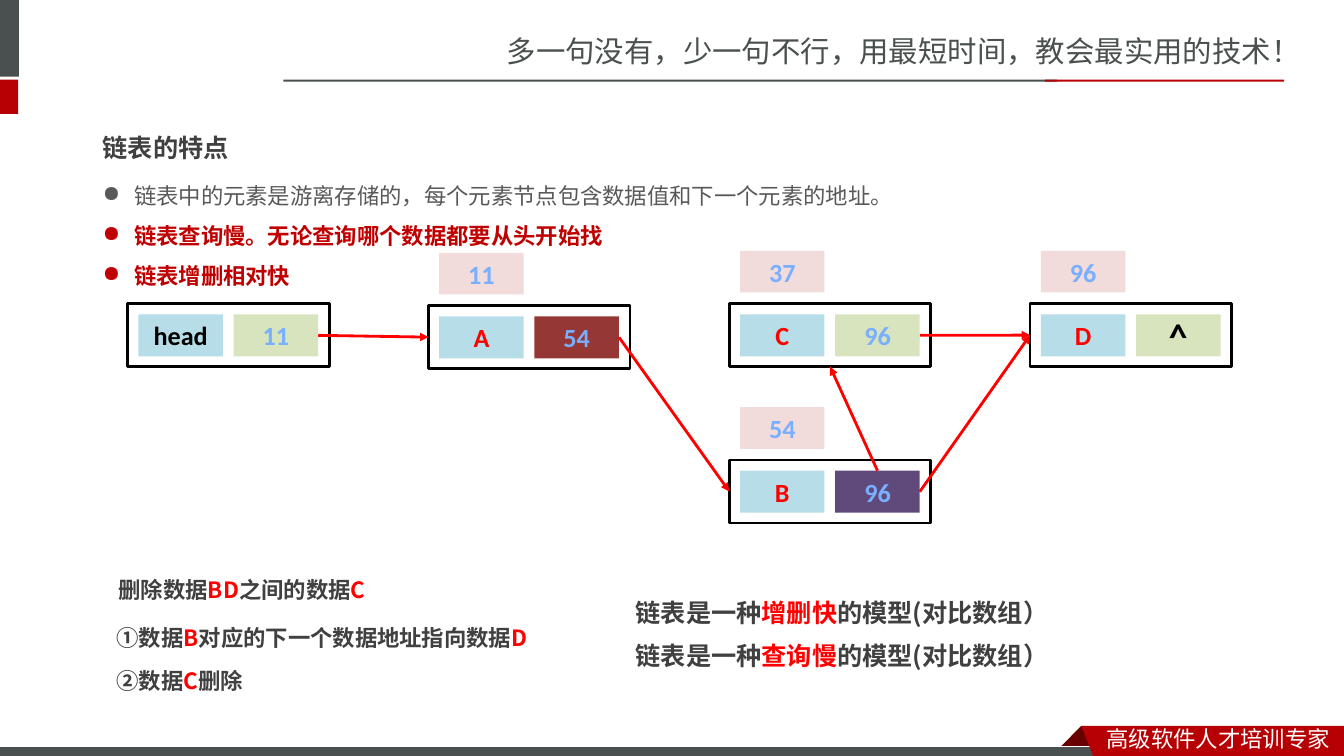
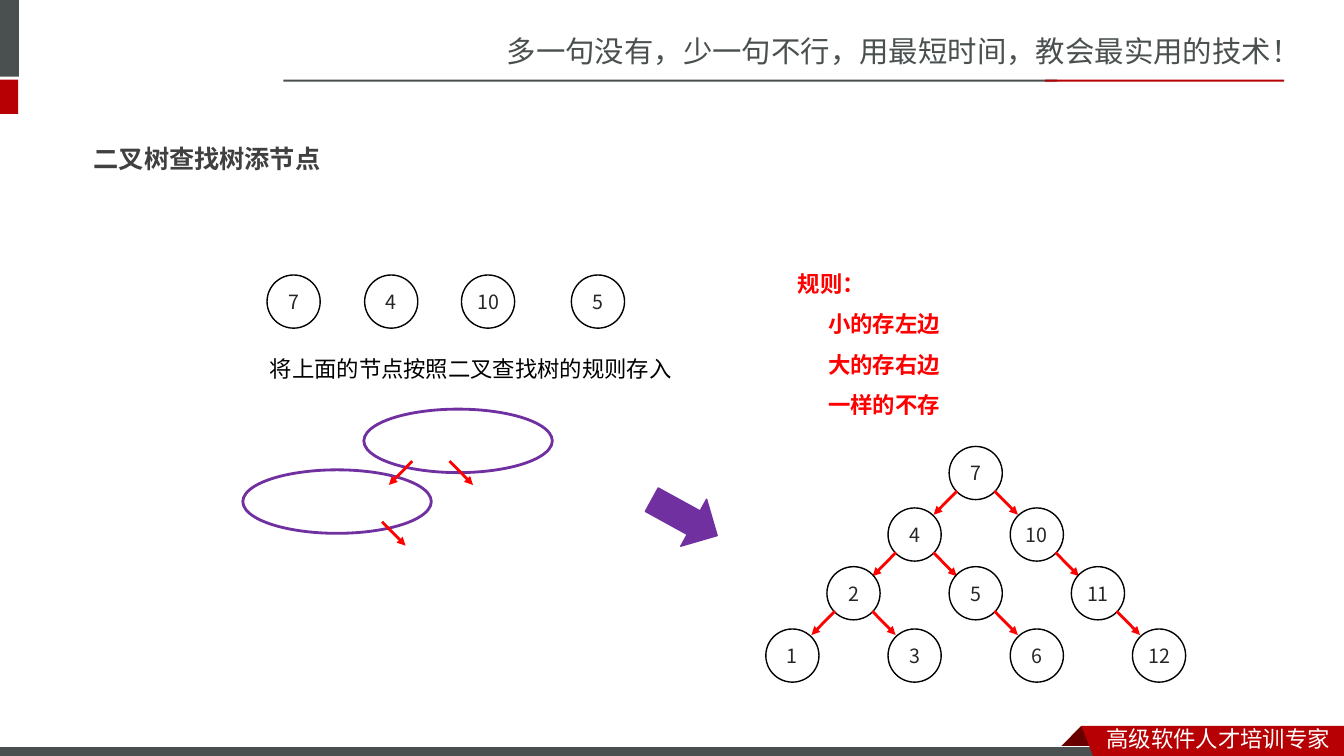
"""Build two lesson slides on linked lists and binary search trees."""
from dataclasses import dataclass
from typing import Optional

from lxml.etree import SubElement
from pptx import Presentation
from pptx.dml.color import RGBColor
from pptx.enum.shapes import MSO_CONNECTOR, MSO_SHAPE
from pptx.enum.text import MSO_ANCHOR, PP_ALIGN
from pptx.oxml.ns import qn
from pptx.util import Cm, Pt

SLATE = RGBColor(0x49, 0x50, 0x4F)
CRIMSON = RGBColor(0xB6, 0x00, 0x04)
MAROON = RGBColor(0x68, 0x00, 0x00)
WHITE = RGBColor(0xFF, 0xFF, 0xFF)
BLACK = RGBColor(0x00, 0x00, 0x00)
RED = RGBColor(0xFF, 0x00, 0x00)
DARK_RED = RGBColor(0xC0, 0x00, 0x00)
HEADING = RGBColor(0x40, 0x40, 0x40)
BODY = RGBColor(0x59, 0x59, 0x59)
DIGIT = RGBColor(0x26, 0x26, 0x26)
ADDRESS = RGBColor(0x79, 0xAF, 0xFF)
SKY = RGBColor(0xB7, 0xDE, 0xE8)
PINK = RGBColor(0xF2, 0xDC, 0xDB)
LIME = RGBColor(0xD7, 0xE4, 0xBD)
BRICK = RGBColor(0x95, 0x37, 0x35)
PLUM = RGBColor(0x60, 0x4A, 0x7B)
PURPLE = RGBColor(0x70, 0x30, 0xA0)

LATIN, SANS_SC, SANS_JP = "Calibri", "Noto Sans CJK SC", "Noto Sans CJK JP"
CIRCLE = 1.34


@dataclass(frozen=True)
class Style:
    """Look of a piece of text."""
    size: float
    color: RGBColor
    font: str = SANS_JP
    bold: bool = True


SLOGAN = Style(21, SLATE, SANS_SC, False)
MOTTO = Style(16, WHITE, SANS_SC, False)
TITLE = Style(18, HEADING)
STEP = Style(16, HEADING)
RULE = Style(16, RED)
POINT = Style(16, BODY, LATIN, False)
KEY_POINT = Style(16, DARK_RED, LATIN)
CAPTION = Style(16, BLACK, SANS_SC, False)
NUMBER = Style(14, DIGIT, SANS_SC, False)
CELL = Style(18.7, ADDRESS, LATIN)
CELL_DATA = Style(18.7, RED, LATIN)
CELL_HEAD = Style(18.7, BLACK, LATIN)
CELL_END = Style(26.7, BLACK, LATIN)


@dataclass(frozen=True)
class ListNode:
    """A linked-list node: its data and the address of the next node."""
    data: str
    link: str
    column: int
    top: float
    address: str = ""
    link_fill: RGBColor = LIME
    data_style: Style = CELL_DATA
    link_style: Style = CELL


@dataclass(frozen=True)
class TreeNode:
    """A tree node placed by column and level, with its child sides."""
    value: str
    column: int
    level: int
    children: tuple = ()


LIST_NODES = (
    ListNode("head", "11", 0, 7.65, data_style=CELL_HEAD),
    ListNode("A", "54", 1, 7.7, "11", BRICK),
    ListNode("C", "96", 2, 7.65, "37"),
    ListNode("D", "^", 3, 7.65, "96", link_style=CELL_END),
    ListNode("B", "96", 2, 11.59, "54", PLUM),
)
LIST_LINKS = (("head", 3, "A", 1), ("C", 3, "D", 1), ("B", 0, "C", 2),
              ("A", 3, "B", 1), ("B", 3, "D", 1))
LEVEL_TOPS = (11.25, 12.8, 14.28, 15.85)
TREE_NODES = (
    TreeNode("7", 0, 0, (-1, 1)),
    TreeNode("4", -1, 1, (-1, 1)), TreeNode("10", 1, 1, (1,)),
    TreeNode("2", -2, 2, (-1, 1)), TreeNode("5", 0, 2, (1,)),
    TreeNode("11", 2, 2, (1,)),
    TreeNode("1", -3, 3), TreeNode("3", -1, 3), TreeNode("6", 1, 3),
    TreeNode("12", 3, 3),
)


def format_run(run, style: Style, color: RGBColor) -> None:
    """Apply a style to a run, for Latin and East Asian text alike."""
    run.font.size = Pt(style.size)
    run.font.bold = style.bold
    run.font.color.rgb = color
    run.font.name = style.font
    east_asian = SubElement(run._r.get_or_add_rPr(), qn("a:ea"))
    east_asian.set("typeface", SANS_SC if style.font == LATIN else style.font)


def add_text(slide, left: float, top: float, width: float, height: float,
             lines: str, style: Style, spacing: Optional[float] = None):
    """Add a text box; parts between bars are set in red."""
    box = slide.shapes.add_textbox(Cm(left), Cm(top), Cm(width), Cm(height))
    frame = box.text_frame
    frame.word_wrap = True
    for index, line in enumerate(lines.split("\n")):
        paragraph = frame.add_paragraph() if index else frame.paragraphs[0]
        paragraph.line_spacing = spacing
        for part, words in enumerate(line.split("|")):
            if words:
                run = paragraph.add_run()
                run.text = words
                format_run(run, style, RED if part % 2 else style.color)
    return box


def indent(paragraph, margin: float, bullet: str = "") -> None:
    """Indent a paragraph, hanging a bullet when one is given."""
    properties = paragraph._p.get_or_add_pPr()
    properties.set("marL", str(int(Cm(margin))))
    if bullet:
        properties.set("indent", str(-int(Cm(margin))))
        SubElement(properties, qn("a:buChar")).set("char", bullet)


def paint(shape, fill: Optional[RGBColor], line: Optional[RGBColor],
          weight: float) -> None:
    """Set fill and outline, and drop the shadow."""
    shape.shadow.inherit = False
    if fill is None:
        shape.fill.background()
    else:
        shape.fill.solid()
        shape.fill.fore_color.rgb = fill
    if line is None:
        shape.line.fill.background()
    else:
        shape.line.color.rgb = line
        shape.line.width = Pt(weight)


def add_block(slide, kind, left: float, top: float, width: float,
              height: float, fill: Optional[RGBColor] = None,
              line: Optional[RGBColor] = None, weight: float = 1,
              label: str = "", style: Style = NUMBER):
    """Add a preset shape with an optional centred label."""
    block = slide.shapes.add_shape(kind, Cm(left), Cm(top), Cm(width), Cm(height))
    paint(block, fill, line, weight)
    if label:
        frame = block.text_frame
        frame.word_wrap = False
        frame.vertical_anchor = MSO_ANCHOR.MIDDLE
        frame.margin_left = frame.margin_right = 0
        frame.text = label
        frame.paragraphs[0].alignment = PP_ALIGN.CENTER
        format_run(frame.paragraphs[0].runs[0], style, style.color)
    return block


def add_outline(slide, points: tuple, fill: RGBColor) -> None:
    """Add a closed polygon."""
    start, *others = [(Cm(x), Cm(y)) for x, y in points]
    builder = slide.shapes.build_freeform(*start)
    builder.add_line_segments(others, close=True)
    paint(builder.convert_to_shape(), fill, None, 0)


def add_arrow(slide, x1: float = 0, y1: float = 0, x2: float = 0, y2: float = 0):
    """Add a red arrow."""
    arrow = slide.shapes.add_connector(
        MSO_CONNECTOR.STRAIGHT, Cm(x1), Cm(y1), Cm(x2), Cm(y2))
    arrow.line.color.rgb = RED
    arrow.line.width = Pt(2)
    properties = arrow._element.spPr
    SubElement(properties.find(qn("a:ln")), qn("a:tailEnd")).set("type", "triangle")
    SubElement(properties, qn("a:effectLst"))
    return arrow


def dress_layout(layout, slide) -> None:
    """Draw the common frame and move it to the layout."""
    tree = layout.shapes._spTree
    for placeholder in list(layout.placeholders):
        tree.remove(placeholder._element)
    add_text(slide, 12.52, 0.71, 21.36, 1.19,
             "多一句没有，少一句不行，用最短时间，教会最实用的技术！", SLOGAN)
    for left, top, width, height, fill in (
            (0, 0, 0.48, 1.93, SLATE), (0, 2.01, 0.46, 0.86, CRIMSON),
            (7.14, 2.01, 19.5, 0.05, SLATE), (26.34, 2.01, 6.02, 0.05, CRIMSON)):
        add_block(slide, MSO_SHAPE.RECTANGLE, left, top, width, height, fill)
    add_outline(slide, ((27.25, 18.29), (27.81, 18.85), (27.79, 18.87),
                        (26.72, 18.87), (26.7, 18.85)), MAROON)
    add_block(slide, MSO_SHAPE.RECTANGLE, -0.03, 18.82, 27.94, 0.3, SLATE, WHITE, 0.75)
    add_outline(slide, ((27.25, 18.29), (33.87, 18.29), (33.87, 19.14),
                        (27.58, 19.13)), CRIMSON)
    add_text(slide, 27.64, 18.16, 6.22, 0.94, "高级软件人才培训专家", MOTTO)
    for shape in list(slide.shapes):
        tree.append(shape._element)


def draw_list_node(slide, node: ListNode) -> tuple:
    """Draw a list node and return its frame and link cell."""
    left, top = 3.22 + 7.58 * node.column, node.top
    rectangle = MSO_SHAPE.RECTANGLE
    frame = add_block(slide, rectangle, left, top, 5.08, 1.59, None, BLACK, 2)
    add_block(slide, rectangle, left + 0.27, top + 0.27, 2.13, 1.06, SKY,
              label=node.data, style=node.data_style)
    link = add_block(slide, rectangle, left + 2.67, top + 0.27, 2.13, 1.06,
                     node.link_fill, label=node.link, style=node.link_style)
    if node.address:
        add_block(slide, rectangle, left + 0.27, top - 1.33, 2.13, 1.05, PINK,
                  label=node.address, style=CELL)
    return frame, link


def build_list_slide(slide) -> None:
    """Show the traits of a linked list and the removal of a node."""
    add_text(slide, 2.34, 2.82, 13, 1.3, "链表的特点", TITLE, 1.5)
    points = (("链表中的元素是游离存储的，每个元素节点包含数据值和下一个元素的地址。", POINT),
              ("链表查询慢。无论查询哪个数据都要从头开始找", KEY_POINT),
              ("链表增删相对快", KEY_POINT))
    for row, (words, style) in enumerate(points):
        point = add_text(slide, 2.34, 4.46 + 1.01 * row, 20.7, 0.94, words, style)
        indent(point.text_frame.paragraphs[0], 0.79, "●")
    drawn = {node.data: draw_list_node(slide, node) for node in LIST_NODES}
    for source, source_side, target, target_side in LIST_LINKS:
        arrow = add_arrow(slide)
        arrow.begin_connect(drawn[source][1], source_side)
        arrow.end_connect(drawn[target][0], target_side)
    for left, top, width, words, style in (
            (2.74, 14.05, 22.25, "删除数据|BD|之间的数据|C", STEP),
            (2.69, 15.27, 13.1, "①数据|B|对应的下一个数据地址指向数据|D", STEP),
            (2.69, 16.36, 13.1, "②数据|C|删除", STEP),
            (15.77, 14.55, 18, "链表是一种|增删快|的模型(对比数组）", TITLE),
            (15.77, 15.62, 13.56, "链表是一种|查询慢|的模型(对比数组）", TITLE)):
        add_text(slide, left, top, width, 1.2, words, style, 1.5)


def draw_circle(slide, left: float, top: float, value: str) -> None:
    """Draw a numbered circle."""
    add_block(slide, MSO_SHAPE.OVAL, left, top, CIRCLE, CIRCLE, None, BLACK,
              label=value)


def build_tree_slide(slide) -> None:
    """Show how nodes are added to a binary search tree."""
    add_text(slide, 2.11, 3.1, 11.2, 1.3, "二叉树查找树添节点", TITLE, 1.5)
    for left, value in ((6.73, "7"), (9.19, "4"), (11.63, "10"), (14.4, "5")):
        draw_circle(slide, left, 6.93, value)
    add_text(slide, 6.55, 8.48, 12.8, 1.17, "将上面的节点按照二叉查找树的规则存入",
             CAPTION, 1.5)
    rules = add_text(slide, 19.86, 6.35, 12.8, 4.27,
                     "规则：\n小的存左边\n大的存右边\n一样的不存", RULE, 1.5)
    for paragraph in rules.text_frame.paragraphs[1:]:
        indent(paragraph, 0.76)
    for left, top in ((9.17, 10.31), (6.12, 11.84)):
        add_block(slide, MSO_SHAPE.OVAL, left, top, 4.75, 1.6, None, PURPLE, 2)
    for x, y, side in ((11.33, 11.62, 1), (10.39, 11.62, -1), (9.63, 13.15, 1)):
        add_arrow(slide, x, y, x + 0.59 * side, y + 0.6)
    for node in TREE_NODES:
        left, top = 23.92 + 1.54 * node.column, LEVEL_TOPS[node.level]
        draw_circle(slide, left, top, node.value)
        center = left + CIRCLE / 2
        for side in node.children:
            add_arrow(slide, center + 0.47 * side, top + 1.12,
                      center + 1.06 * side, top + 1.72)
    pointer = add_block(slide, MSO_SHAPE.RIGHT_ARROW, 16.31, 12.37, 1.88, 1.35,
                        PURPLE, PURPLE)
    pointer.rotation = 28.8


def main() -> None:
    """Build and save the presentation."""
    deck = Presentation()
    deck.slide_width, deck.slide_height = Cm(33.87), Cm(19.05)
    blank = deck.slide_layouts[6]
    list_slide = deck.slides.add_slide(blank)
    dress_layout(blank, list_slide)
    build_list_slide(list_slide)
    build_tree_slide(deck.slides.add_slide(blank))
    deck.save("out.pptx")


if __name__ == "__main__":
    main()
